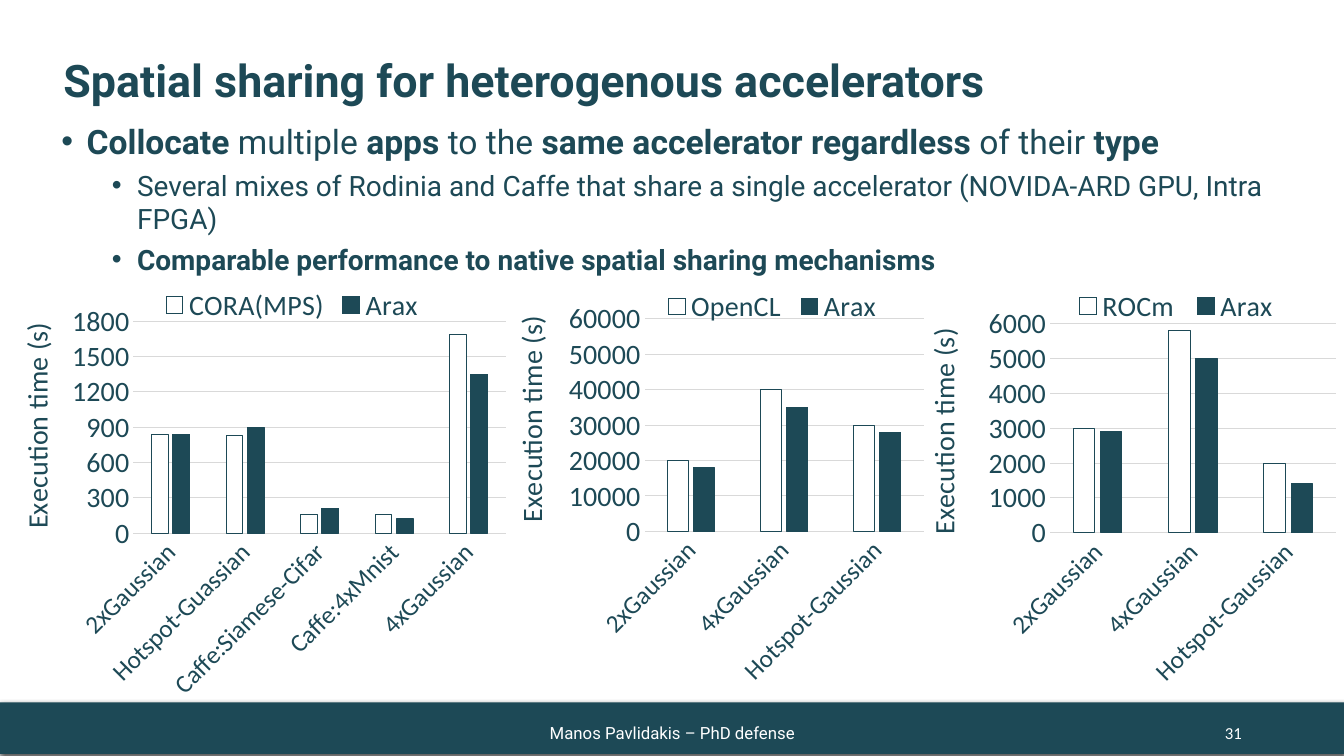
import pptx
import pptx.chart.data
import pptx.dml.color
import pptx.enum.chart
import pptx.enum.shapes
import pptx.enum.text
import pptx.oxml
import pptx.oxml.ns
import pptx.util
from pptx.util import Cm, Pt

COLORS = {"teal": "1D4956", "white": "FFFFFF", "grid": "D9D9D9"}
RGB = {name: pptx.dml.color.RGBColor.from_string(value) for name, value in COLORS.items()}
ALIGN = pptx.enum.text.PP_ALIGN
ANCHOR = pptx.enum.text.MSO_ANCHOR


def place(element, x, y, w=None, h=None, inner=False):
    """Give a chart part a manual layout, in fractions of the chart."""
    for old in element.findall(pptx.oxml.ns.qn("c:layout")):
        element.remove(old)
    target = '<c:layoutTarget val="inner"/>' if inner else ""
    modes = '<c:xMode val="edge"/><c:yMode val="edge"/>'
    sizes = f'<c:w val="{w}"/><c:h val="{h}"/>' if w else ""
    layout = pptx.oxml.parse_xml(
        f'<c:layout {pptx.oxml.ns.nsdecls("c")}><c:manualLayout>{target}{modes}'
        f'<c:x val="{x}"/><c:y val="{y}"/>{sizes}</c:manualLayout></c:layout>')
    overlay = element.find(pptx.oxml.ns.qn("c:overlay"))
    if overlay is None:
        element.insert(0, layout)
    else:
        overlay.addprevious(layout)


def style_font(font, size, color="teal", name="Calibri", bold=None):
    font.size = Pt(size)
    font.name = name
    font.color.rgb = RGB[color]
    font.bold = bold


presentation = pptx.Presentation()
presentation.slide_width, presentation.slide_height = Cm(33.87), Cm(19.05)
slide = presentation.slides.add_slide(presentation.slide_layouts[6])

# Footer band
band = slide.shapes.add_shape(pptx.enum.shapes.MSO_SHAPE.RECTANGLE,
                              Cm(0), Cm(17.7), Cm(33.87), Cm(1.3))
band.fill.solid()
band.fill.fore_color.rgb = RGB["teal"]
band.line.fill.background()
band.shadow.inherit = False
band.element.spPr.find(pptx.oxml.ns.qn("a:effectLst")).append(pptx.oxml.parse_xml(
    f'<a:outerShdw {pptx.oxml.ns.nsdecls("a")} blurRad="57150" dist="19050" dir="5400000">'
    '<a:srgbClr val="000000"><a:alpha val="63000"/></a:srgbClr></a:outerShdw>'))

# Title and footer texts
labels = [
    ("Spatial sharing for heterogenous accelerators", (1.35, 0.92, 31.7, 2.16),
     ALIGN.LEFT, 32, "teal", "Roboto", True),
    ("31", (23.93, 17.96, 7.62, 1.02), ALIGN.RIGHT, 12, "white", "Calibri", False),
    ("Manos Pavlidakis – PhD defense", (11.23, 17.96, 11.43, 1.02),
     ALIGN.CENTER, 12, "white", "Roboto", False),
]
for text, box, align, size, color, font_name, bold in labels:
    frame = slide.shapes.add_textbox(*map(Cm, box)).text_frame
    frame.word_wrap = True
    frame.vertical_anchor = ANCHOR.MIDDLE
    paragraph = frame.paragraphs[0]
    paragraph.text = text
    paragraph.alignment = align
    style_font(paragraph.font, size, color, font_name, bold)

# Bullets: level, size, space before, then (text, bold) runs
bullets = [
    (0, 24, 0, [("Collocate", True), (" multiple ", False), ("apps", True),
                (" to the ", False), ("same accelerator regardless", True),
                (" of their ", False), ("type", True)]),
    (1, 20, 5, [("Several mixes of Rodinia and Caffe that share a single accelerator "
                 "(NOVIDA-ARD GPU, Intra FPGA)", False)]),
    (1, 20, 5, [("Comparable performance to native spatial sharing mechanisms", True)]),
]
body = slide.shapes.add_textbox(Cm(1.3), Cm(2.92), Cm(31.67), Cm(4.01)).text_frame
body.word_wrap = True
for index, (level, size, space, runs) in enumerate(bullets):
    paragraph = body.add_paragraph() if index else body.paragraphs[0]
    paragraph.level = level
    properties = paragraph._p.get_or_add_pPr()
    properties.set("marL", str(Cm(0.635 + 1.27 * level)))
    properties.set("indent", str(-Cm(0.635)))
    for tag in ('buFont typeface="Arial"', 'buChar char="•"'):
        name, attribute = tag.split(" ")
        properties.append(pptx.oxml.parse_xml(
            f'<a:{name} {pptx.oxml.ns.nsdecls("a")} {attribute}/>'))
    paragraph.space_before = Pt(space)
    style_font(paragraph.font, size, name="Roboto")
    for text, bold in runs:
        run = paragraph.add_run()
        run.text = text
        run.font.bold = bold

# Charts
mixes = ["2xGaussian", "4xGaussian", "Hotspot-Gaussian"]
charts = [
    dict(box=(0.15, 6.3, 12.65, 14.27), native="CORA(MPS)", top=1800, step=300,
         mixes=["2xGaussian", "Hotspot-Guassian", "Caffe:Siamese-Cifar",
                "Caffe:4xMnist", "4xGaussian"],
         native_times=[840, 830, 160, 160, 1690], arax_times=[840, 900, 210, 120, 1350],
         plot=(0.254, 0.126, 0.742, 0.374), legend=(0.3, 0.067, 0.54, 0.06),
         title=(0.012, 0.119)),
    dict(box=(12.6, 4.72, 10.72, 14.27), native="OpenCL", top=60000, step=10000, mixes=mixes,
         native_times=[20000, 40000, 30000], arax_times=[18000, 35000, 28000],
         plot=(0.34, 0.232, 0.656, 0.376), legend=(0.37, 0.18, 0.54, 0.06),
         title=(0.015, 0.218)),
    dict(box=(22.99, 4.75, 10.72, 14.27), native="ROCm", top=6000, step=1000, mixes=mixes,
         native_times=[3000, 5800, 2000], arax_times=[2900, 5000, 1400],
         plot=(0.324, 0.239, 0.672, 0.369), legend=(0.36, 0.177, 0.52, 0.06),
         title=(0.015, 0.238)),
]
for entry in charts:
    data = pptx.chart.data.CategoryChartData()
    data.categories = entry["mixes"]
    data.add_series(entry["native"], entry["native_times"])
    data.add_series("Arax", entry["arax_times"])
    chart = slide.shapes.add_chart(pptx.enum.chart.XL_CHART_TYPE.COLUMN_CLUSTERED,
                                   *map(Cm, entry["box"]), data).chart
    chart.has_title = False
    style_font(chart.font, 10)

    plot = chart.plots[0]
    plot.gap_width, plot.overlap, plot.vary_by_categories = 219, -27, False
    for series, color in zip(plot.series, ("white", "teal")):
        series.format.fill.solid()
        series.format.fill.fore_color.rgb = RGB[color]
        series.format.line.color.rgb = RGB["teal"]
        series.format.line.width = Pt(0.75)
        series.invert_if_negative = False

    times = chart.value_axis
    times.minimum_scale, times.maximum_scale = 0, entry["top"]
    times.major_unit = entry["step"]
    times.major_gridlines.format.line.color.rgb = RGB["grid"]
    times.major_gridlines.format.line.width = Pt(0.75)
    title_paragraph = times.axis_title.text_frame.paragraphs[0]
    title_paragraph.text = "Execution time (s)"
    style_font(title_paragraph.font, 20, bold=False)
    for axis, size in ((chart.category_axis, 18), (times, 20)):
        axis.major_tick_mark = pptx.enum.chart.XL_TICK_MARK.NONE
        axis.minor_tick_mark = pptx.enum.chart.XL_TICK_MARK.NONE
        axis.format.line.fill.background()
        style_font(axis.tick_labels.font, size)

    chart.has_legend = True
    chart.legend.position = pptx.enum.chart.XL_LEGEND_POSITION.BOTTOM
    chart.legend.include_in_layout = False
    style_font(chart.legend.font, 20)

    space = chart.element
    space.xpath(".//c:catAx/c:txPr/a:bodyPr")[0].set("rot", "-2700000")
    title_body = space.xpath(".//c:valAx/c:title//a:bodyPr")[0]
    title_body.set("rot", "-5400000")
    title_body.set("vert", "horz")
    place(space.xpath(".//c:plotArea")[0], *entry["plot"], inner=True)
    place(space.xpath(".//c:legend")[0], *entry["legend"])
    place(space.xpath(".//c:valAx/c:title")[0], *entry["title"])

presentation.save("out.pptx")
